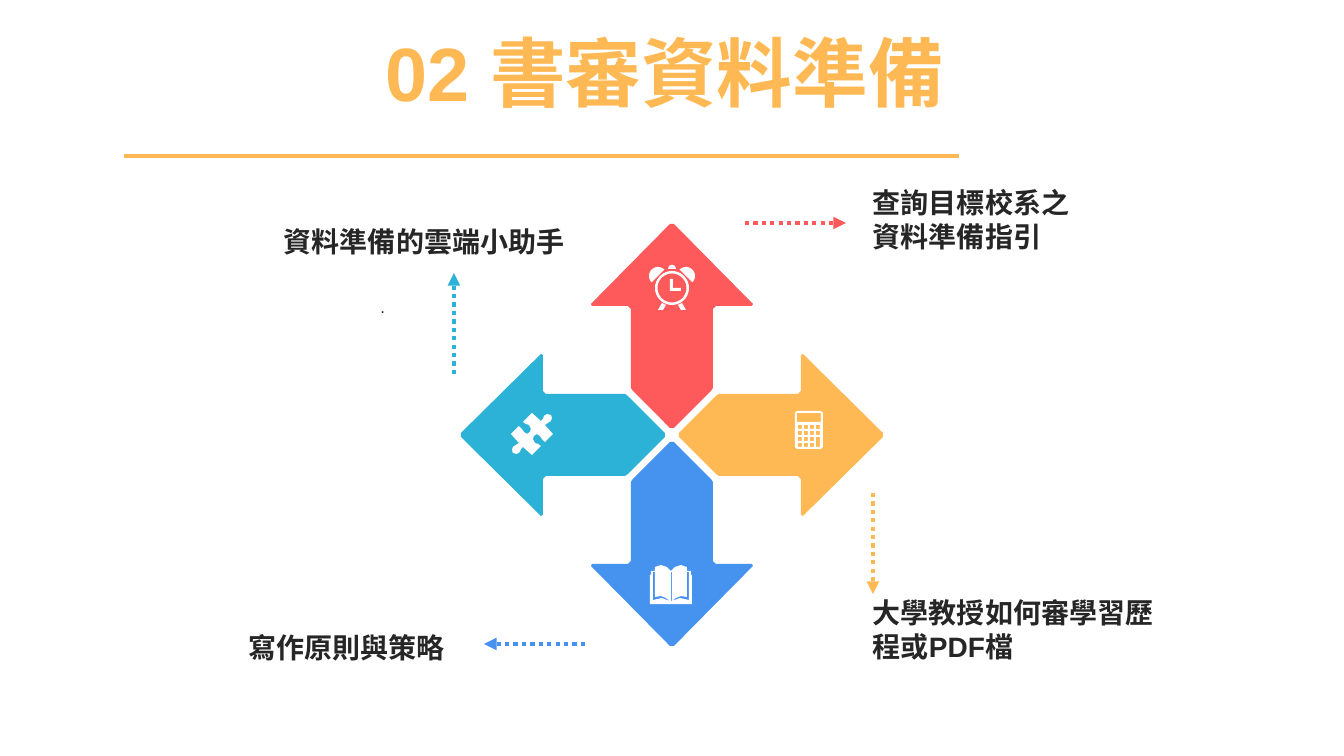
from math import cos, sin, radians
from pptx import Presentation
from pptx.dml.color import RGBColor
from pptx.enum.dml import MSO_LINE_DASH_STYLE as DASH
from pptx.enum.shapes import MSO_CONNECTOR as CONN
from pptx.enum.text import MSO_ANCHOR as ANCHOR, PP_ALIGN as ALIGN
from pptx.oxml.ns import qn
from pptx.util import Pt
from lxml import etree

PX = 914400 / 100.8
COLORS = {"red": "FE5A5B", "orange": "FFB954", "blue": "4592EF",
          "teal": "2CB2D7", "text": "262626", "white": "FFFFFF"}

TITLE = ("02 書審資料準備 ", 35, 37, 1276, 80)
LABELS = [
    (["查詢目標校系之", "資料準備指引"], 863, 180, 317, 78, ALIGN.LEFT, 20),
    (["大學教授如何審學習歷程或PDF檔"], 863, 590, 317, 78, ALIGN.LEFT, 20),
    (["資料準備的雲端小助手"], 274, 219, 317, 44, ALIGN.LEFT, 20),
    (["."], 78, 292, 317, 30, ALIGN.RIGHT, 12),
    (["寫作原則與策略"], 138, 625, 317, 44, ALIGN.RIGHT, 20),
]
RULE = (124, 156, 959, 156)
POINTERS = [
    ("red", 745, 223, 846, 223),
    ("blue", 585, 644, 484, 644),
    ("orange", 873, 493, 873, 594),
    ("teal", 454, 374, 454, 273),
]

CENTER = (672, 435)
ARROW_COLORS = ["red", "orange", "blue", "teal"]
ARROW_HALF = [(2, -211), (81, -131), (80, -129), (44, -129), (41, -126),
              (41, -47), (39, -44), (2, -7)]

CLOCK = (672, 288)
CLOCK_HANDS = [(-2, -9), (1, -9), (1, 0), (9, 0), (9, 3), (-2, 3)]
CLOCK_CAP = [(-4, -19), (-3, -22), (-1, -23), (1, -23), (3, -22), (4, -19)]
CLOCK_LEG = [(10, 15), (14, 22), (9, 22), (6, 17)]

PUZZLE = (532, 434)
PUZZLE_HALF = [(9, -13), (11, -15), (12, -18), (15, -20), (19, -19), (20, -16),
               (19, -13), (16, -11), (13, -9), (21, 0), (13, 8), (10, 5),
               (8, 2), (5, 0), (2, 2), (1, 5), (3, 9), (6, 10), (9, 12), (0, 21)]

BOOK = (671, 604)
BOOK_HALF = [(0, -33), (4, -37), (10, -39), (16, -37), (16, -33), (20, -33),
             (20, -29), (21, -29), (21, 0)]
BOOK_GAP = [(18, -32), (16, -32), (16, -7), (10, -8), (5, -6), (1, -3),
            (9, -6), (18, -4)]
BOOK_SPINE = [(0, -32), (1, -32), (1, -3), (0, -3)]

CALCULATOR = (795, 411)


def box(x, y, w, h):
    return [(x, y), (x + w, y), (x + w, y + h), (x, y + h)]


def arc(cx, cy, radius, start, end, steps=36):
    angles = [radians(start + (end - start) * i / steps) for i in range(steps + 1)]
    return [(cx + radius * cos(a), cy + radius * sin(a)) for a in angles]


def mirror(points):
    return [(-x, y) for x, y in points]


def symmetric(half):
    return half + mirror(half)[::-1]


def quarter_turns(points, turns):
    for _ in range(turns):
        points = [(-y, x) for x, y in points]
    return points


def rgb(name):
    return RGBColor.from_string(COLORS[name])


def emu(*values):
    return [round(v * PX) for v in values]


def draw_outline(origin, contours, color):
    placed = [[emu(origin[0] + x, origin[1] + y) for x, y in c] for c in contours]
    builder = s.shapes.build_freeform(*placed[0][0], scale=1.0)
    for i, points in enumerate(placed):
        if i:
            builder.move_to(*points[0])
        builder.add_line_segments(points[1:], close=True)
    sp = builder.convert_to_shape()
    sp.shadow.inherit = False
    sp.fill.solid()
    sp.fill.fore_color.rgb = rgb(color)
    sp.line.fill.background()


def draw_line(color, ends):
    line = s.shapes.add_connector(CONN.STRAIGHT, *emu(*ends))
    line.line.color.rgb = rgb(color)
    line.line.width = Pt(3)
    etree.SubElement(line._element.spPr, qn("a:effectLst"))
    return line


def draw_text(lines, x, y, w, h, align, size, color="text", bold=True):
    tf = s.shapes.add_textbox(*emu(x, y, w, h)).text_frame
    tf.word_wrap = True
    tf.vertical_anchor = ANCHOR.MIDDLE
    tf.text = "\n".join(lines)
    for p in tf.paragraphs:
        p.alignment = align
        for r in p.runs:
            r.font.name = "Arial"
            r.font.size = Pt(size)
            r.font.bold = bold
            r.font.color.rgb = rgb(color)
    return tf


prs = Presentation()
prs.slide_width, prs.slide_height = emu(1344, 756)
s = prs.slides.add_slide(prs.slide_layouts[6])

title, *title_box = TITLE
p = draw_text([title], *title_box, ALIGN.CENTER, 54, "orange").paragraphs[0]
p.line_spacing = 0.9
p.space_before = Pt(10)
draw_line("orange", RULE)

for turns, color in enumerate(ARROW_COLORS):
    draw_outline(CENTER, [quarter_turns(symmetric(ARROW_HALF), turns)], color)

for color, *ends in POINTERS:
    pointer = draw_line(color, ends)
    pointer.line.dash_style = DASH.ROUND_DOT
    etree.SubElement(pointer.line._get_or_add_ln(), qn("a:tailEnd"), type="triangle")

for label in LABELS:
    draw_text(*label, bold=label[-1] == 20)

bell = arc(-14, -12, 9, -45, -225)
draw_outline(CLOCK, [arc(0, 0, 17, 0, 360), arc(0, 0, 14.5, 0, 360), CLOCK_HANDS,
                     CLOCK_CAP, CLOCK_LEG, mirror(CLOCK_LEG), bell, mirror(bell)],
             "white")

keys = [box(3 + 6 * col, 14 + 6 * row, 4, 10 if (col, row) == (3, 2) else 4)
        for row in range(4) for col in range(4) if (col, row) != (3, 3)]
case = [(2, 0), (26, 0), (28, 2), (28, 36), (26, 38), (2, 38), (0, 36), (0, 2)]
draw_outline(CALCULATOR, [case, box(2, 2, 24, 9)] + keys, "white")

draw_outline(PUZZLE, [PUZZLE_HALF + quarter_turns(PUZZLE_HALF, 2)], "white")
draw_outline(BOOK, [symmetric(BOOK_HALF), BOOK_GAP, mirror(BOOK_GAP), BOOK_SPINE],
             "white")

prs.save("out.pptx")
